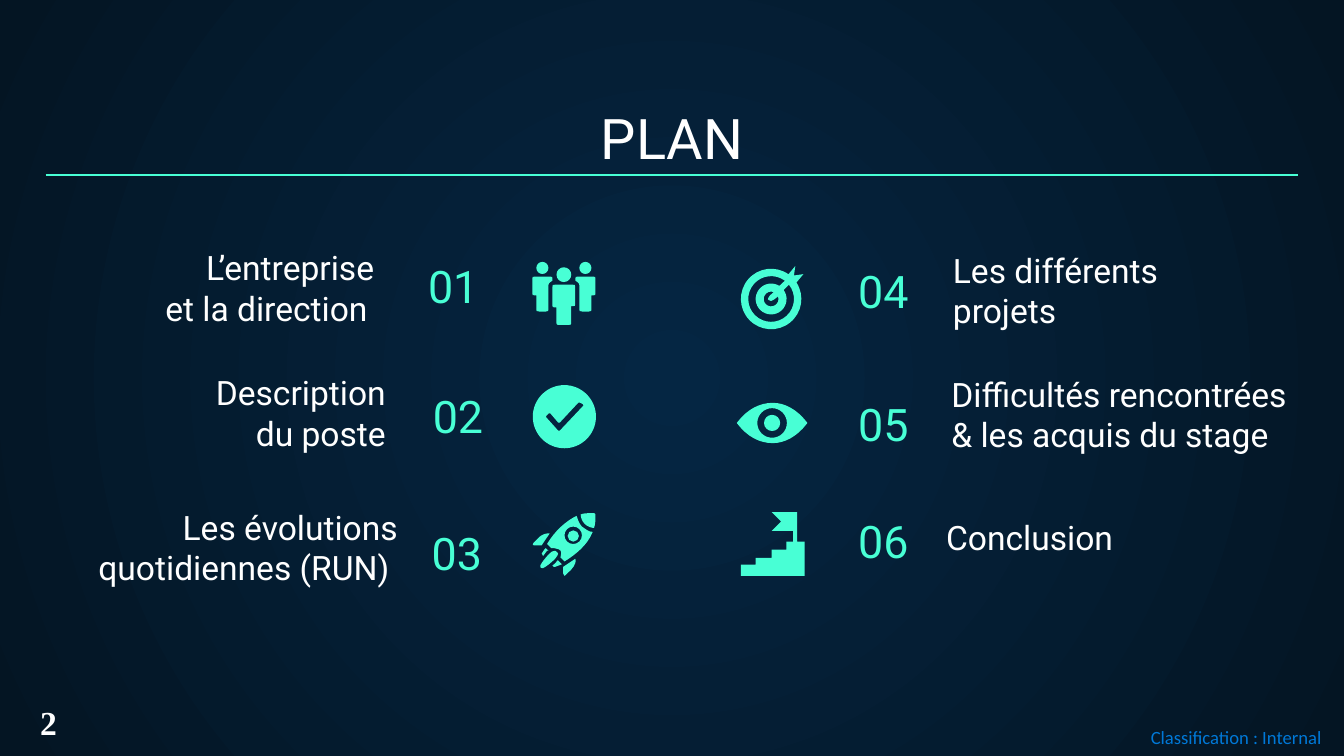
from dataclasses import dataclass
from math import ceil, cos, radians, sin, tan

from lxml import etree
from pptx import Presentation
from pptx.dml.color import RGBColor
from pptx.enum.shapes import MSO_CONNECTOR
from pptx.enum.text import MSO_ANCHOR, PP_ALIGN
from pptx.oxml.ns import qn
from pptx.util import Cm, Pt

LEFT, CENTER, RIGHT = PP_ALIGN.LEFT, PP_ALIGN.CENTER, PP_ALIGN.RIGHT
TOP, MIDDLE, BOTTOM = MSO_ANCHOR.TOP, MSO_ANCHOR.MIDDLE, MSO_ANCHOR.BOTTOM
STRAIGHT = MSO_CONNECTOR.STRAIGHT
TITLE_ONLY = 5
FINE = 100
ICON_UNIT = Cm(2.54) / 100


@dataclass(frozen=True)
class Theme:
    """Colours, fonts and type sizes of the deck."""
    glow: str = "052643"
    night: str = "041523"
    accent: str = "48FFD5"
    white: str = "FFFFFF"
    label: str = "0078D7"
    font: str = "Roboto"
    label_font: str = "Calibri"
    page_font: str = "Times New Roman"
    title_size: int = 30
    number_size: int = 24
    item_size: int = 18
    small_size: int = 14
    label_size: int = 10


def arc(x, y, radius, start=0, end=360):
    """Return a start point and the curves of a circular arc in degrees."""
    count = ceil(abs(end - start) / 90)
    step = radians(end - start) / count
    pull = 4 / 3 * tan(step / 4)

    def place(angle, lead=0):
        return (x + radius * (cos(angle) - lead * sin(angle)),
                y + radius * (sin(angle) + lead * cos(angle)))

    angles = [radians(start) + step * i for i in range(count + 1)]
    return [place(angles[0])] + [(place(a, pull), place(b, -pull), place(b))
                                 for a, b in zip(angles, angles[1:])]


def bend(corner, end):
    """Return a curve that rounds a corner."""
    return corner, corner, end


def is_curve(segment):
    """Tell a curve from a plain point."""
    return isinstance(segment[0], tuple)


def write_text(frame, text, *, size, color, font, align=LEFT, anchor=BOTTOM,
               bold=False, inset=(0.25, 0.25), tail="", tail_size=None):
    """Fill a text frame with one formatted paragraph."""
    frame.word_wrap = True
    frame.vertical_anchor = anchor
    frame.margin_left = frame.margin_right = Cm(inset[0])
    frame.margin_top = frame.margin_bottom = Cm(inset[1])
    para = frame.paragraphs[0]
    para.alignment = align
    pieces = [(line, size) for line in text.split("\n")]
    if tail:
        pieces.append((tail, tail_size))
    for index, (piece, piece_size) in enumerate(pieces):
        if 0 < index <= text.count("\n"):
            para.add_line_break()
        span = para.add_run()
        span.text = piece
        span.font.name = font
        span.font.size = Pt(piece_size)
        span.font.bold = bold
        span.font.color.rgb = RGBColor.from_string(color)


class PlanPage:
    """Style and current slide, with a method for each kind of element."""

    def __init__(self, deck, theme):
        """Add a slide to the deck."""
        self.theme = theme
        self.page = deck.slides.add_slide(deck.slide_layouts[TITLE_ONLY])
        self.shapes = self.page.shapes

    def background(self):
        """Paint a round glow behind the slide."""
        fill = self.page.background.fill
        fill.gradient()
        for stop, color, position in zip(fill.gradient_stops,
                                         (self.theme.glow, self.theme.night), (0, 1)):
            stop.color.rgb = RGBColor.from_string(color)
            stop.position = position
        linear = next(self.page.element.iter(qn("a:lin")))
        radial = etree.Element(qn("a:path"), {"path": "circle"})
        etree.SubElement(radial, qn("a:fillToRect"), dict.fromkeys("ltrb", "50000"))
        linear.getparent().replace(linear, radial)

    def title(self, text, left, top, width, height):
        """Move and fill the title placeholder."""
        box = self.shapes.title
        box.left, box.top, box.width, box.height = map(Cm, (left, top, width, height))
        write_text(box.text_frame, text, size=self.theme.title_size,
                   color=self.theme.white, font=self.theme.font, align=CENTER)

    def text(self, text, left, top, width, height, **style):
        """Add a text box."""
        box = self.shapes.add_textbox(*map(Cm, (left, top, width, height)))
        write_text(box.text_frame, text, **style)

    def rule(self, left, right, top):
        """Add a thin horizontal line."""
        line = self.shapes.add_connector(STRAIGHT, *map(Cm, (left, top, right, top)))
        line.line.color.rgb = RGBColor.from_string(self.theme.accent)
        line.line.width = Pt(0.75)
        etree.SubElement(line._element.spPr, qn("a:effectLst"))

    def icon(self, parts, left, top):
        """Draw the parts of an icon, grouped when there are several."""
        shapes = self.shapes.add_group_shape().shapes if len(parts) > 1 else self.shapes
        for outlines in parts:
            self.outline(shapes, outlines, left, top)

    def outline(self, shapes, outlines, left, top):
        """Draw closed outlines as one shape, inner ones being holes."""
        builder = shapes.build_freeform(scale=ICON_UNIT / FINE)
        for index, (start, *segments) in enumerate(outlines):
            points = [p for s in segments for p in (s if is_curve(s) else (s,))]
            first, *rest = [(x * FINE, y * FINE) for x, y in (start, *points)]
            if index:
                builder.move_to(*first)
            else:
                builder = shapes.build_freeform(*first, scale=ICON_UNIT / FINE)
            builder.add_line_segments(rest)
        shape = builder.convert_to_shape(Cm(left), Cm(top))
        steps = shape._element.iter(qn("a:lnTo"))
        drawn = list(steps)
        for segment in (s for outline in outlines for s in outline[1:]):
            step = drawn.pop(0)
            if is_curve(segment):
                cubic = etree.Element(qn("a:cubicBezTo"))
                step.addprevious(cubic)
                for old in (step, drawn.pop(0), drawn.pop(0)):
                    cubic.append(old[0])
                    old.getparent().remove(old)
        shape.shadow.inherit = False
        shape.fill.solid()
        shape.fill.fore_color.rgb = RGBColor.from_string(self.theme.accent)
        shape.line.fill.background()


def side_body(place):
    """Return the body of a person at the side, each point put through place."""
    corner = [(place(a), place(b)) for a, b in (
        ((0, 11), (0, 13)), ((0, 25), (2, 25)), ((3, 37), (5, 37)), ((12, 37), (12, 34)),
        ((12, 16), (15, 14)), ((15, 11), (13, 11)))]
    bends = [bend(*pair) for pair in corner]
    return [place((2, 11)), bends[0], place((0, 23)), bends[1], place((3, 25)),
            place((3, 34)), bends[2], place((10, 37)), bends[3], place((12, 19)),
            bends[4], place((15, 13)), bends[5]]


PEOPLE = [
    [arc(7.5, 4.5, 4.5)], [side_body(lambda p: p)],
    [arc(39.5, 4.5, 4.5)], [side_body(lambda p: (47 - p[0], p[1]))],
    [[(17, 17), bend((15, 17), (15, 19)), (15, 31), bend((15, 34), (17, 34)), (18, 34),
      (18, 44), bend((18, 47), (21, 47)), (27, 47), bend((29, 47), (29, 44)), (29, 33),
      (30, 33), bend((32, 33), (32, 31)), (32, 19), bend((32, 17), (30, 17))]],
    [arc(23.5, 9.5, 5.5)],
]
CHECK = [[
    arc(23.5, 23.5, 23.5),
    [(35, 13), (37, 14), bend((38, 15), (37, 16)), (20, 34), (19, 34), (10, 24), (10, 23),
     (12, 21), (13, 21), (19, 28), (20, 28), (34, 13)],
]]
ROCKET = [
    [[(10, 26), ((8, 28), (8, 29), (7, 30)), (8, 32), (11, 28), (12, 28)]],
    [[(19, 35), ((18, 37), (16, 38), (15, 39)), (16, 40), (17, 40), (22, 38)]],
    [[(17, 28), ((15, 28), (14, 29), (13, 30)), ((9, 34), (7, 37), (6, 39)),
      bend((6, 41), (8, 41)), ((10, 40), (13, 38), (17, 34)), bend((20, 30), (17, 28))]],
    [[(12, 15), ((10, 15), (7, 16), (5, 18)), (1, 22), bend((0, 24), (2, 24)), (7, 24),
      ((9, 21), (11, 18), (13, 15))]],
    [[(32, 34), ((29, 36), (26, 38), (23, 40)), (23, 45), bend((24, 47), (25, 46)),
      (29, 42), ((32, 39), (33, 35), (32, 34))]],
    [arc(30.5, 17, 4.2)],
    [[(44, 0), ((41, 0), (38, 0), (36, 1)), ((36, 3), (37, 6), (39, 8)),
      ((41, 10), (44, 11), (46, 11)), ((47, 8), (47, 5), (47, 1)), bend((47, 0), (44, 0))]],
    [[(33, 2), ((25, 6), (17, 13), (11, 23)), (14, 26), ((15, 26), (18, 26), (20, 27)),
      ((22, 28), (22, 31), (21, 33)), (24, 36), ((32, 31), (41, 24), (45, 14)),
      ((42, 14), (40, 12), (37, 10)), ((35, 8), (34, 5), (33, 2))],
     arc(30.5, 16.5, 6.5)],
]
TARGET = [[
    arc(23, 24.5, 22.5, -55, -393) + [(47, 6), (40, 7), (41, 0)],
    arc(23, 24.5, 17, -53, -399) + arc(23, 24.5, 11.5, -396, -58),
    arc(23, 24.5, 5.5, -20, 290) + [(22, 22), bend((20, 25), (23, 26)), (25, 25)],
]]
EYE = [[
    [(27, 1), ((17, 1), (8, 6), (1, 15)), bend((0, 16), (1, 17)),
     ((8, 26), (17, 31), (27, 31)), ((36, 31), (45, 26), (52, 17)),
     bend((53, 16), (52, 15)), ((45, 6), (36, 1), (27, 1))],
    arc(26.5, 16, 11), arc(26.5, 16, 6),
]]
STEPS = [[[(23, 0), (30, 7), (23, 14), (39, 14), (39, 22), (34, 22), (34, 28), (23, 28),
           (23, 34), (11, 34), (11, 39), (0, 39), (0, 47.5), (47.5, 47.5), (47.5, 22),
           (42, 22), (42, 0)]]]

CHAPTERS = [
    ("L’entreprise \net la direction ", (2.27, 4.42, 5.21, 2.03), (7.84, 4.47), PEOPLE, (10.06, 4.95)),
    ("Description \ndu poste ", (2.85, 7.13, 4.85, 1.68), (7.93, 6.93), CHECK, (10.07, 7.28)),
    ("Les évolutions quotidiennes (RUN) ", (1.17, 9.65, 6.6, 1.7), (7.91, 9.53), ROCKET, (10.06, 9.7)),
    ("Les différents projets", (17.76, 4.59, 5.46, 1.9), (14.14, 4.57), TARGET, (13.99, 5.03)),
    ("Difficultés rencontrées & les acquis du stage", (17.73, 7.14, 7.32, 1.7), (14.14, 7.09), EYE, (13.92, 7.59)),
    ("Conclusion", (17.63, 9.6, 5.38, 1.19), (14.14, 9.3), STEPS, (14, 9.68)),
]


def main():
    """Build the plan slide and save the deck."""
    theme = Theme()
    deck = Presentation()
    deck.slide_width, deck.slide_height = Cm(25.4), Cm(14.29)
    plan = PlanPage(deck, theme)
    plan.background()
    plan.title("PLAN", 0.87, 1.8, 23.67, 1.68)
    plan.rule(0.86, 24.54, 3.31)
    for number, (text, box, number_at, icon, icon_at) in enumerate(CHAPTERS, 1):
        item_align, number_align = (RIGHT, LEFT) if number <= 3 else (LEFT, RIGHT)
        plan.text(text, *box, size=theme.item_size, color=theme.white, font=theme.font,
                  align=item_align, tail=" " if number == 1 else "",
                  tail_size=theme.small_size)
        plan.text(f"{number:02}", *number_at, 3.28, 1.68, size=theme.number_size,
                  color=theme.accent, font=theme.font, align=number_align)
        plan.icon(icon, *icon_at)
    plan.text("2", 0.51, 13.13, 1.37, 1.02, size=theme.item_size, color=theme.white,
              font=theme.page_font, anchor=TOP, bold=True, inset=(0.25, 0.13))
    plan.text("Classification : Internal", 21.34, 13.56, 3.63, 0.74,
              size=theme.label_size, color=theme.label, font=theme.label_font,
              align=RIGHT, anchor=MIDDLE, inset=(0, 0))
    deck.save("out.pptx")


if __name__ == "__main__":
    main()
